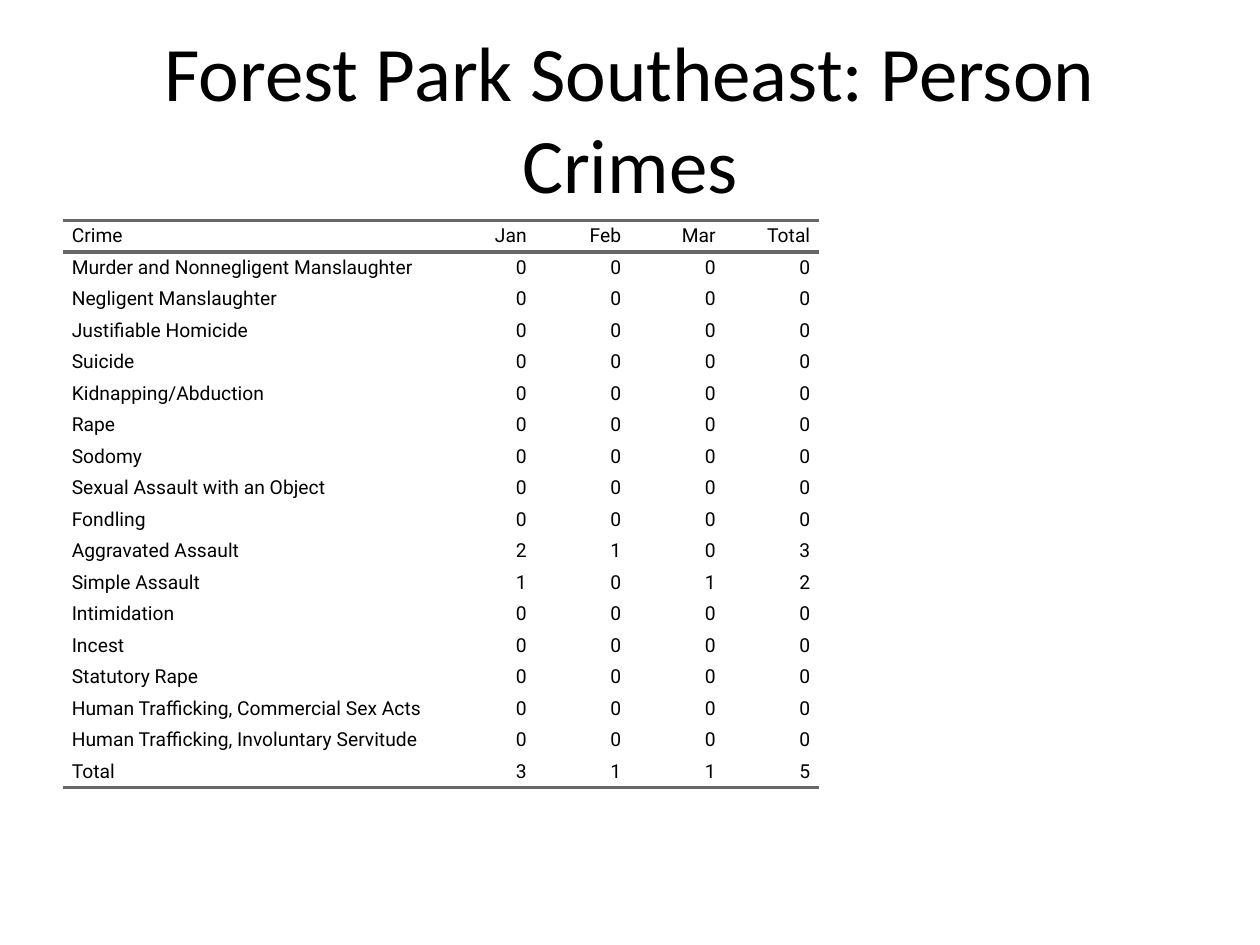
from lxml import etree
from pptx import Presentation
from pptx.dml.color import RGBColor
from pptx.enum.text import MSO_ANCHOR, PP_ALIGN
from pptx.oxml.ns import qn
from pptx.util import Inches, Pt

LEFT, RIGHT, CENTER = PP_ALIGN.LEFT, PP_ALIGN.RIGHT, PP_ALIGN.CENTER
MIDDLE = MSO_ANCHOR.MIDDLE
BLACK = RGBColor(0x00, 0x00, 0x00)
RULE_GRAY = RGBColor(0x66, 0x66, 0x66)

TITLE = "Forest Park Southeast: Person Crimes"
HEADER = ("Crime", "Jan", "Feb", "Mar", "Total")
MONTHLY_COUNTS = [
    ("Murder and Nonnegligent Manslaughter", 0, 0, 0),
    ("Negligent Manslaughter", 0, 0, 0),
    ("Justifiable Homicide", 0, 0, 0),
    ("Suicide", 0, 0, 0),
    ("Kidnapping/Abduction", 0, 0, 0),
    ("Rape", 0, 0, 0),
    ("Sodomy", 0, 0, 0),
    ("Sexual Assault with an Object", 0, 0, 0),
    ("Fondling", 0, 0, 0),
    ("Aggravated Assault", 2, 1, 0),
    ("Simple Assault", 1, 0, 1),
    ("Intimidation", 0, 0, 0),
    ("Incest", 0, 0, 0),
    ("Statutory Rape", 0, 0, 0),
    ("Human Trafficking, Commercial Sex Acts", 0, 0, 0),
    ("Human Trafficking, Involuntary Servitude", 0, 0, 0),
]

COLUMN_WIDTHS = (3, 0.75, 0.75, 0.75, 0.75)
ROW_HEIGHT = 0.25
RULE_WIDTH = 2
CELL_FORMAT = {
    "margin_left": Inches(0.07),
    "margin_right": Inches(0.07),
    "margin_top": 0,
    "margin_bottom": 0,
    "vertical_anchor": MIDDLE,
}
TITLE_FONT = {"name": "Calibri", "size": Pt(44)}
TABLE_FONT = {"name": "Roboto", "size": Pt(11)}


def apply(target, values):
    for attribute, value in values.items():
        setattr(target, attribute, value)


def write(frame, text, font, alignment):
    paragraph = frame.paragraphs[0]
    paragraph.alignment = alignment
    run = paragraph.add_run()
    run.text = text
    apply(run.font, font)
    run.font.color.rgb = BLACK


def set_borders(cell, ruled_sides):
    """Rule the given sides (T, B) and clear the remaining ones."""
    properties = cell._tc.get_or_add_tcPr()
    for side in "LRTB":
        border = etree.SubElement(properties, qn(f"a:ln{side}"))
        if side in ruled_sides:
            border.set("w", str(Pt(RULE_WIDTH)))
            fill = etree.SubElement(border, qn("a:solidFill"))
            etree.SubElement(fill, qn("a:srgbClr"), val=str(RULE_GRAY))
        else:
            etree.SubElement(border, qn("a:noFill"))


def crime_rows():
    """Header, counts with row totals, and the column totals."""
    counts = [(*row, sum(row[1:])) for row in MONTHLY_COUNTS]
    totals = [sum(column) for column in list(zip(*counts))[1:]]
    return [HEADER, *counts, ("Total", *totals)]


def add_title(slide):
    box = slide.shapes.add_textbox(Inches(0.5), Inches(0.3), Inches(9), Inches(1.25))
    apply(box.text_frame, {"word_wrap": True, "vertical_anchor": MIDDLE})
    write(box.text_frame, TITLE, TITLE_FONT, CENTER)


def add_crime_table(slide):
    rows = crime_rows()
    table = slide.shapes.add_table(
        len(rows), len(HEADER), Inches(0.5), Inches(1.75),
        Inches(sum(COLUMN_WIDTHS)), Inches(ROW_HEIGHT * len(rows)),
    ).table
    apply(table, {"first_row": False, "horz_banding": False})
    for column, width in zip(table.columns, COLUMN_WIDTHS):
        column.width = Inches(width)

    ruled_sides = {0: "TB", 1: "T", len(rows) - 1: "B"}
    for r, row in enumerate(rows):
        table.rows[r].height = Inches(ROW_HEIGHT)
        for c, value in enumerate(row):
            cell = table.cell(r, c)
            apply(cell, CELL_FORMAT)
            set_borders(cell, ruled_sides.get(r, ""))
            cell.fill.background()
            write(cell.text_frame, str(value), TABLE_FONT, RIGHT if c else LEFT)


def main():
    presentation = Presentation()
    apply(presentation, {"slide_width": Inches(10), "slide_height": Inches(7.5)})
    slide = presentation.slides.add_slide(presentation.slide_layouts[6])
    add_crime_table(slide)
    add_title(slide)
    presentation.save("out.pptx")


if __name__ == "__main__":
    main()
